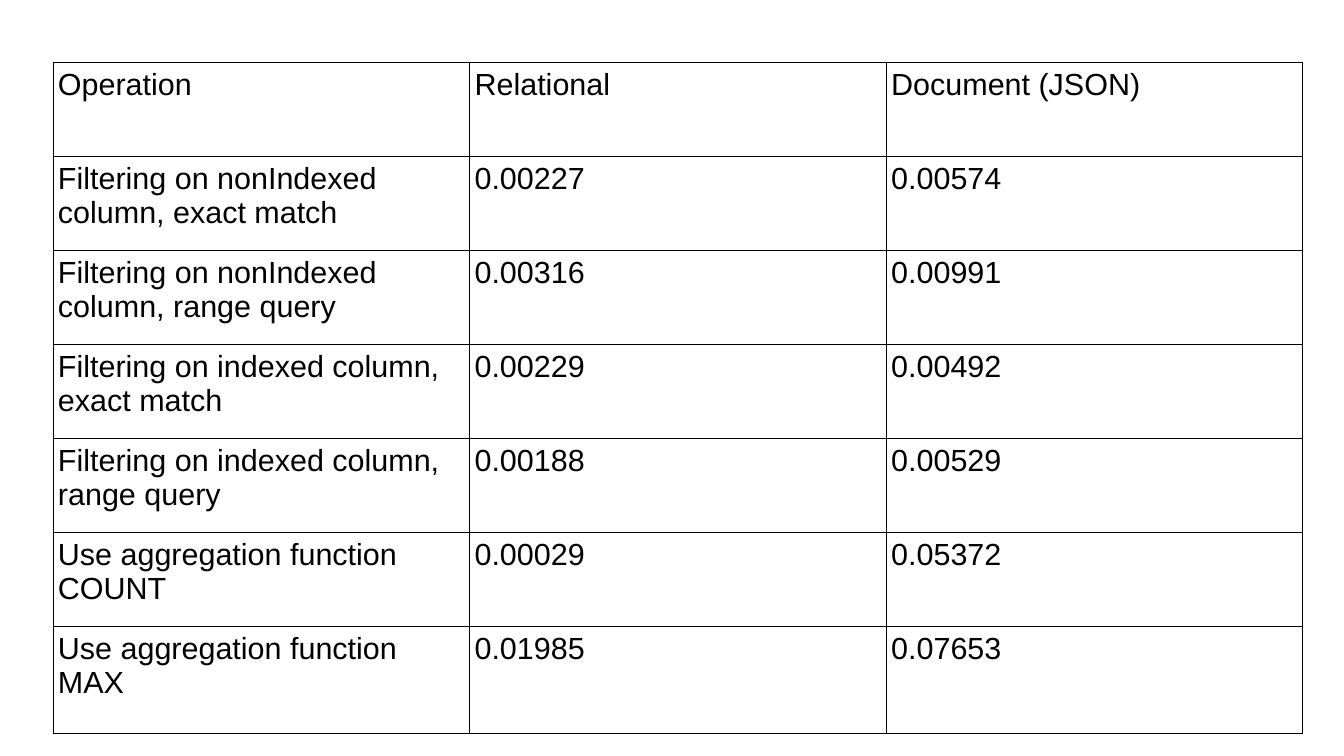
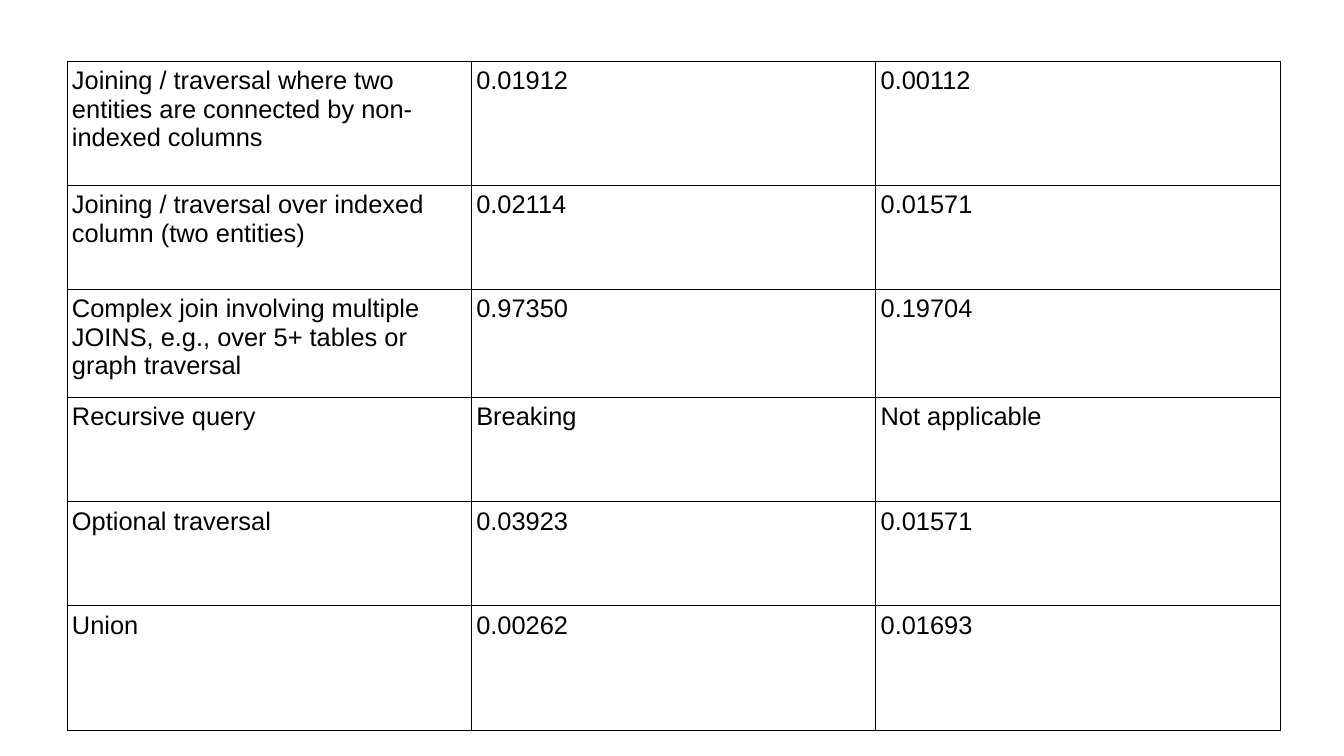
from dataclasses import dataclass

from lxml import etree
from pptx import Presentation
from pptx.dml.color import RGBColor
from pptx.enum.text import MSO_ANCHOR, PP_ALIGN
from pptx.oxml.ns import qn
from pptx.util import Pt

TOP = MSO_ANCHOR.TOP
LEFT = PP_ALIGN.LEFT
EMU_PER_PIXEL = 914400 / 122
BLANK_LAYOUT = 6
BORDER_TAGS = ("a:lnL", "a:lnR", "a:lnT", "a:lnB")


@dataclass(frozen=True)
class Theme:
    font: str = "Arial"
    ink: str = "000000"
    paper: str = "FFFFFF"
    border_points: float = 0.57
    large: int = 18
    small: int = 15
    space_before: float = 11.9
    space_after: float = 9.9
    inset_x: int = 5
    inset_y: int = 6


THEME = Theme()

# Slide content
FILTERS_AND_AGGREGATES = [
    ("Operation", "Relational", "Document (JSON)"),
    ("Filtering on nonIndexed column, exact match", "0.00227", "0.00574"),
    ("Filtering on nonIndexed column, range query", "0.00316", "0.00991"),
    ("Filtering on indexed column, exact match", "0.00229", "0.00492"),
    ("Filtering on indexed column, range query", "0.00188", "0.00529"),
    ("Use aggregation function COUNT", "0.00029", "0.05372"),
    ("Use aggregation function MAX", "0.01985", "0.07653"),
]
JOINS_AND_TRAVERSALS = [
    ("Joining / traversal where two entities are connected by non-indexed columns",
     "0.01912", "0.00112"),
    ("Joining / traversal over indexed column (two entities)", "0.02114", "0.01571"),
    ("Complex join involving multiple JOINS, e.g., over 5+ tables or graph traversal",
     "0.97350", "0.19704"),
    ("Recursive query", "Breaking", "Not applicable"),
    ("Optional traversal", "0.03923", "0.01571"),
    ("Union", "0.00262", "0.01693"),
]


def px(pixels):
    return round(pixels * EMU_PER_PIXEL)


def draw_borders(cell):
    """Put a thin line on all four sides; lines precede the fill."""
    properties = cell._tc.get_or_add_tcPr()
    for position, tag in enumerate(BORDER_TAGS):
        line = etree.Element(qn(tag), w=str(int(Pt(THEME.border_points))))
        fill = etree.SubElement(line, qn("a:solidFill"))
        etree.SubElement(fill, qn("a:srgbClr"), val=THEME.ink)
        properties.insert(position, line)


def fill_cell(cell, text, size):
    cell.fill.solid()
    cell.fill.fore_color.rgb = RGBColor.from_string(THEME.paper)
    cell.margin_left = cell.margin_right = px(THEME.inset_x)
    cell.margin_top = cell.margin_bottom = px(THEME.inset_y)
    cell.vertical_anchor = TOP
    draw_borders(cell)

    paragraph = cell.text_frame.paragraphs[0]
    paragraph.alignment = LEFT
    paragraph.space_before = Pt(THEME.space_before)
    paragraph.space_after = Pt(THEME.space_after)
    run = paragraph.add_run()
    run.text = text
    run.font.name = THEME.font
    run.font.size = Pt(size)
    run.font.color.rgb = RGBColor.from_string(THEME.ink)


def add_timing_slide(presentation, box, records, row_heights, size):
    """Add a slide with one table of equal columns in the given box."""
    slide = presentation.slides.add_slide(presentation.slide_layouts[BLANK_LAYOUT])
    left, top, width = box
    table = slide.shapes.add_table(
        len(records), len(records[0]),
        px(left), px(top), px(width), px(sum(row_heights)),
    ).table
    table.first_row = False
    table.horz_banding = False
    for row, height, record in zip(table.rows, row_heights, records):
        row.height = px(height)
        for cell, text in zip(row.cells, record):
            fill_cell(cell, text, size)


presentation = Presentation()
presentation.slide_width = px(1344)
presentation.slide_height = px(756)

add_timing_slide(presentation, (53, 62, 1250), FILTERS_AND_AGGREGATES,
                 [94] * 6 + [107], THEME.large)
add_timing_slide(presentation, (67, 61, 1213), JOINS_AND_TRAVERSALS,
                 [124, 104, 108, 105, 104, 125], THEME.small)

presentation.save("out.pptx")
